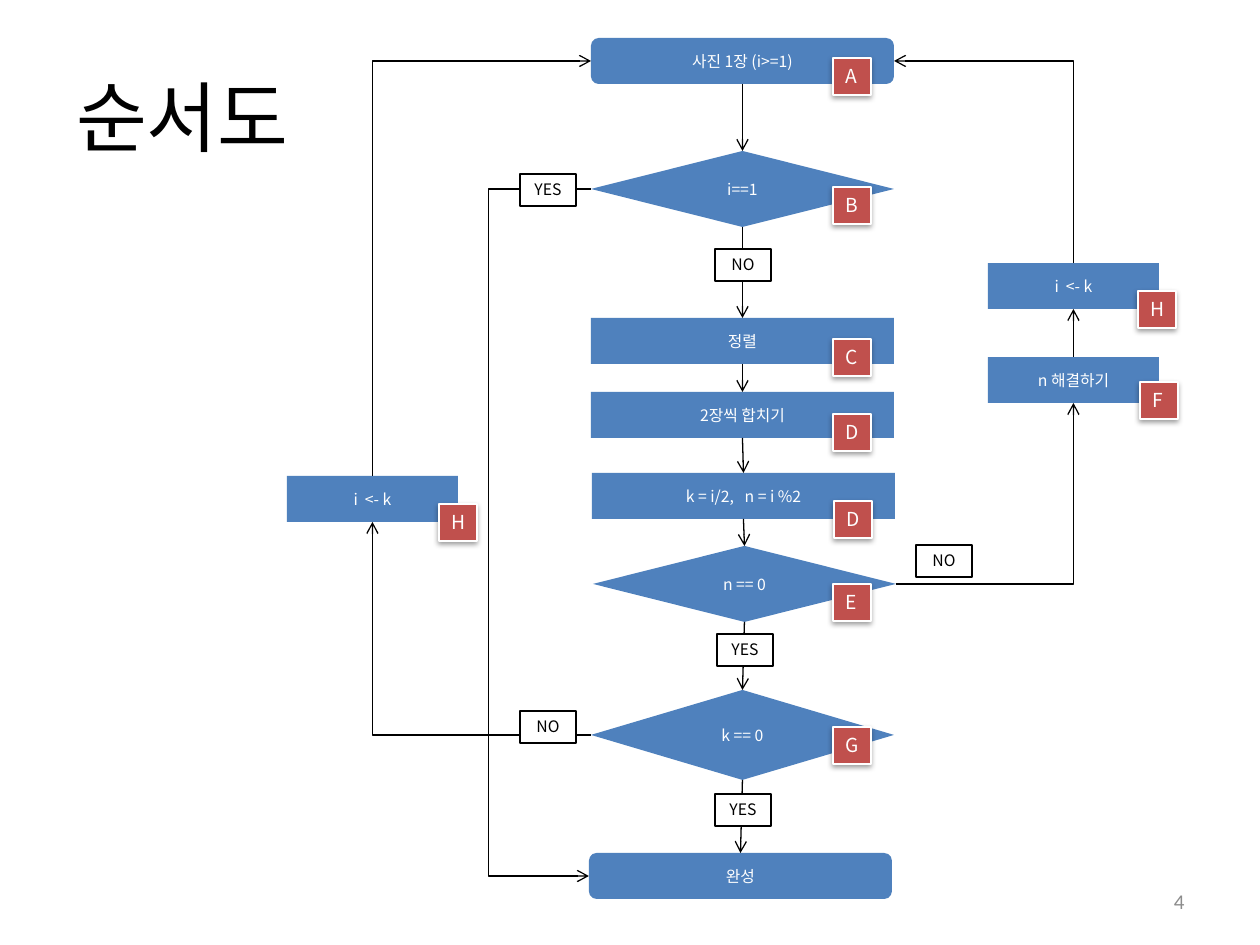
from dataclasses import dataclass

from lxml.etree import SubElement
from pptx import Presentation
from pptx.dml.color import RGBColor
from pptx.enum.shapes import MSO_CONNECTOR as LINE, MSO_SHAPE as SHAPE
from pptx.enum.text import MSO_ANCHOR as ANCHOR, MSO_AUTO_SIZE as FIT, PP_ALIGN as ALIGN
from pptx.oxml.ns import qn
from pptx.util import Emu, Pt

PX = 914400 // 126
TOP, LEFT, BOTTOM, RIGHT = range(4)


@dataclass(frozen=True)
class Theme:
    """Colours, fonts and type sizes of the slide."""
    node: str = "4F81BD"
    badge: str = "C0504D"
    ink: str = "000000"
    paper: str = "FFFFFF"
    muted: str = "8C8C8C"
    font: str = "Noto Sans CJK KR"
    number_font: str = "Calibri"
    title: int = 44
    body: int = 9
    mark: int = 11
    number: int = 12
    line: float = 0.75


T = Theme()


def px(*lengths):
    """Turn pixels into EMU."""
    return [Emu(round(n * PX)) for n in lengths]


def write(sp, text, size, color, align=ALIGN.CENTER, anchor=ANCHOR.MIDDLE, font=T.font, wrap=True):
    """Put one formatted paragraph in a shape."""
    tf = sp.text_frame
    tf.text = text
    tf.word_wrap = wrap
    tf.auto_size = FIT.NONE
    tf.vertical_anchor = anchor
    p = tf.paragraphs[0]
    p.alignment = align
    f = p.runs[0].font
    f.size, f.name, f.color.rgb = Pt(size), font, RGBColor.from_string(color)
    SubElement(p.runs[0]._r.get_or_add_rPr(), qn("a:ea"), typeface=font)


def add_box(s, kind, box, fill, line=None):
    """Add a flat preset shape."""
    sp = s.shapes.add_shape(kind, *px(*box))
    sp.shadow.inherit = False
    sp.fill.solid()
    sp.fill.fore_color.rgb = RGBColor.from_string(fill)
    if line:
        sp.line.color.rgb = RGBColor.from_string(line)
        sp.line.width = Pt(T.line)
    else:
        sp.line.fill.background()
    return sp


def add_node(s, kind, box, text):
    """Add one step of the flow."""
    sp = add_box(s, kind, box, T.node)
    write(sp, text, T.body, T.paper)
    return sp


def add_label(s, x, y, text):
    """Add a YES or NO tag on a branch."""
    sp = add_box(s, SHAPE.RECTANGLE, (x, y, 56, 32), T.paper, T.ink)
    write(sp, text, T.body, T.ink, anchor=ANCHOR.TOP)


def add_badge(s, x, y, letter):
    """Add a shadowed letter badge."""
    sp = add_box(s, SHAPE.RECTANGLE, (x, y, 38, 37), T.badge, T.paper)
    write(sp, letter, T.mark, T.paper, ALIGN.LEFT, ANCHOR.TOP, wrap=False)
    effects = sp._element.spPr.find(qn("a:effectLst"))
    shadow = SubElement(effects, qn("a:outerShdw"), blurRad=str(Pt(3.1)), dist=str(Pt(1.6)),
                        dir="5400000", rotWithShape="0")
    color = SubElement(shadow, qn("a:srgbClr"), val=T.ink)
    SubElement(color, qn("a:alpha"), val="38000")


def site(sp, side):
    """Return the middle of one side of a shape."""
    dx, dy = {TOP: (1, 0), LEFT: (0, 1), BOTTOM: (1, 2), RIGHT: (2, 1)}[side]
    return sp.left + sp.width * dx // 2, sp.top + sp.height * dy // 2


def add_arrow(s, kind, start, end):
    """Add a thin connector with an open arrowhead."""
    c = s.shapes.add_connector(kind, *start, *end)
    c.line.color.rgb = RGBColor.from_string(T.ink)
    c.line.width = Pt(T.line)
    SubElement(c.line._get_or_add_ln(), qn("a:tailEnd"), type="arrow")
    SubElement(c._element.spPr, qn("a:effectLst"))
    return c


def link(s, a, b, leave=BOTTOM, enter=TOP):
    """Join two nodes with a straight glued arrow."""
    c = add_arrow(s, LINE.STRAIGHT, site(a, leave), site(b, enter))
    c.begin_connect(a, leave)
    c.end_connect(b, enter)


def corner(s, a, leave, b, enter):
    """Join two nodes with a one-corner arrow; a start at the top climbs first."""
    (x1, y1), (x2, y2) = site(a, leave), site(b, enter)
    c = add_arrow(s, LINE.ELBOW, (x1, y1), (x2, y2))
    c._element.spPr.find(qn("a:prstGeom")).set("prst", "bentConnector2")
    if leave == TOP:
        w, h = abs(y2 - y1), abs(x2 - x1)
        c.left, c.top, c.width, c.height = (x1 + x2 - w) // 2, (y1 + y2 - h) // 2, w, h
        xfrm = c._element.spPr.find(qn("a:xfrm"))
        xfrm.set("rot", "16200000")
        xfrm.set("flipH", "0")
        xfrm.set("flipV", str(int(x2 < x1)))


def bypass(s, a, b, lane):
    """Join two left sides through a vertical lane."""
    start, end = site(a, LEFT), site(b, LEFT)
    c = add_arrow(s, LINE.ELBOW, start, end)
    bend = (start[0] - px(lane)[0]) * 100000 // (start[0] - end[0])
    guides = c._element.spPr.find(qn("a:prstGeom")).get_or_add_avLst()
    SubElement(guides, qn("a:gd"), name="adj1", fmla=f"val {bend}")


def main_column(s, x, y):
    """Add the central steps and their downward arrows."""
    steps = [(SHAPE.ROUNDED_RECTANGLE, 2, 0, 46, "사진 1장 (i>=1)"),
             (SHAPE.DIAMOND, 2, 113, 76, "i==1"),
             (SHAPE.RECTANGLE, 2, 280, 46, "정렬"),
             (SHAPE.RECTANGLE, 2, 354, 46, "2장씩 합치기"),
             (SHAPE.RECTANGLE, 3, 435, 46, "k = i/2,   n = i %2"),
             (SHAPE.DIAMOND, 4, 508, 76, "n == 0"),
             (SHAPE.DIAMOND, 2, 652, 90, "k == 0"),
             (SHAPE.ROUNDED_RECTANGLE, 0, 815, 46, "완성")]
    nodes = [add_node(s, kind, (x + dx, y + dy, 303, h), text) for kind, dx, dy, h, text in steps]
    for a, b in zip(nodes, nodes[1:]):
        link(s, a, b)
    return nodes


def side_step(s, x, y, text):
    """Add a narrow step beside the main column."""
    return add_node(s, SHAPE.RECTANGLE, (x, y, 171, 46), text)


def title_block(s, box):
    """Place and format the title."""
    title = s.shapes.title
    title.left, title.top, title.width, title.height = px(*box)
    write(title, "순서도", T.title, T.ink, wrap=False)


def page_number(s, box):
    """Add the page number."""
    sp = s.shapes.add_textbox(*px(*box))
    write(sp, "4", T.number, T.muted, ALIGN.RIGHT, font=T.number_font)


def flowchart(s, x, y):
    """Add the steps, loops, branch tags and badges."""
    start, single, _, _, _, odd, rest, done = main_column(s, x + 302, y)
    again_left = side_step(s, x, y + 438, "i  <- k")
    again_right = side_step(s, x + 701, y + 225, "i  <- k")
    solve = side_step(s, x + 701, y + 319, "n 해결하기")
    bypass(s, single, done, x + 201)
    corner(s, rest, LEFT, again_left, BOTTOM)
    corner(s, again_left, TOP, start, LEFT)
    corner(s, odd, RIGHT, solve, BOTTOM)
    corner(s, again_right, TOP, start, RIGHT)
    link(s, solve, again_right, TOP, BOTTOM)
    for dx, dy, text in [(233, 136, "YES"), (428, 211, "NO"), (233, 673, "NO"),
                         (428, 756, "YES"), (430, 596, "YES"), (629, 507, "NO")]:
        add_label(s, x + dx, y + dy, text)
    for dx, dy, letter in [(546, 20, "A"), (546, 149, "B"), (546, 301, "C"), (546, 376, "D"),
                           (547, 463, "D"), (546, 546, "E"), (546, 689, "G"),
                           (853, 344, "F"), (851, 253, "H"), (152, 466, "H")]:
        add_badge(s, x + dx, y + dy, letter)


prs = Presentation()
prs.slide_width, prs.slide_height = px(1260, 945)
s = prs.slides.add_slide(prs.slide_layouts[5])
title_block(s, (63, 38, 239, 155))
flowchart(s, 287, 38)
page_number(s, (903, 876, 294, 50))
prs.save("out.pptx")
